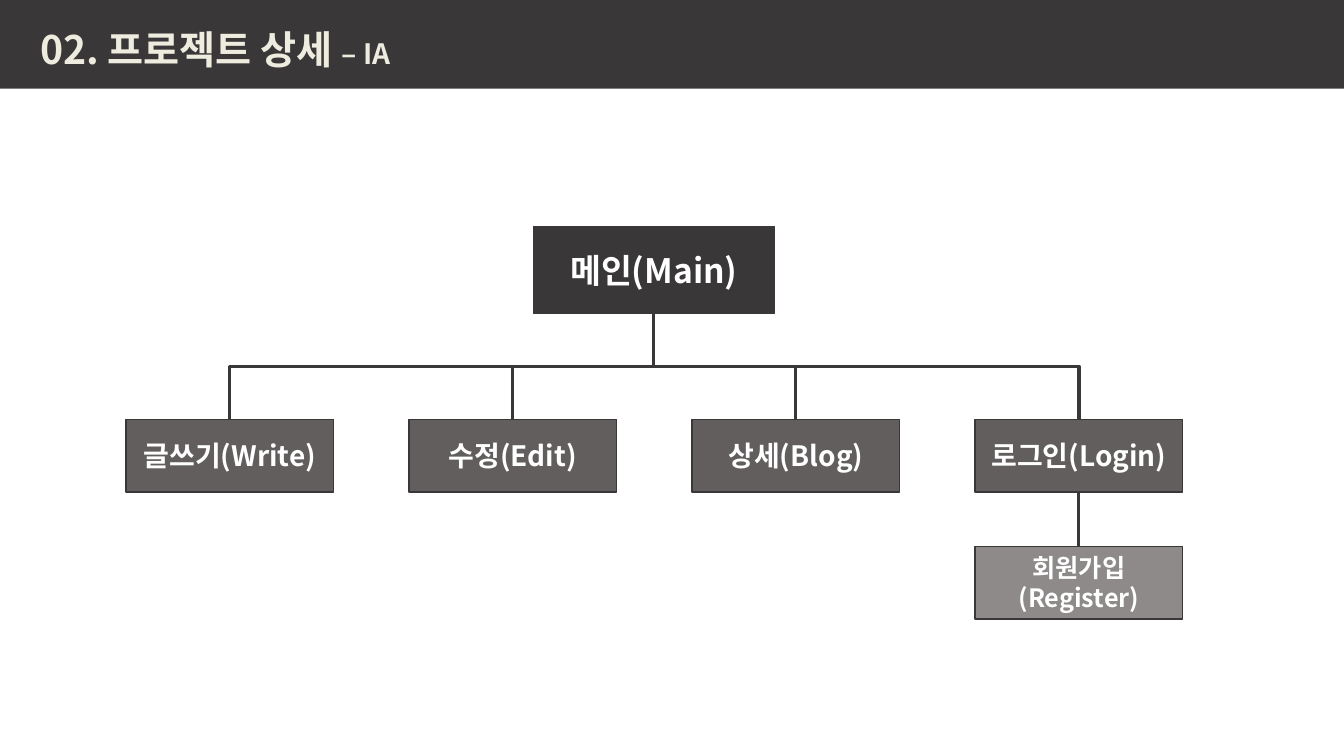
import pptx
import pptx.util
import pptx.dml.color
import pptx.enum.shapes
import pptx.enum.text
from pptx.util import Inches
from lxml import etree

# Content
TITLE = [("02. 프로젝트 상세 ", 28), ("– IA", 20)]
MAIN = "메인(Main)"
PAGES = ["글쓰기(Write)", "수정(Edit)", "상세(Blog)", "로그인(Login)"]
REGISTER = ["회원가입", "(Register)"]

# Style and layout in inches
FONT = "Noto Sans CJK KR"
DARK, MID, LIGHT, WHITE, CREAM = "393737", "625E5E", "8E8A8A", "FFFFFF", "EDECDF"
HEADER_H = 0.88
MAIN_X, MAIN_Y, MAIN_W, MAIN_H = 5.29, 2.25, 2.39, 0.86
PAGE_X, PAGE_Y, PAGE_W, PAGE_H, PAGE_STEP = 1.25, 4.16, 2.06, 0.72, 2.807
REGISTER_Y = 5.42
BUS_Y = (MAIN_Y + MAIN_H + PAGE_Y) / 2

RECT = pptx.enum.shapes.MSO_SHAPE.RECTANGLE
CXN = pptx.enum.shapes.MSO_CONNECTOR


def color(value):
    return pptx.dml.color.RGBColor.from_string(value)


def add_run(p, text, size=20, fill=WHITE):
    r = p.add_run()
    r.text = text
    f = r.font
    f.size, f.bold, f.name = pptx.util.Pt(size), True, FONT
    f.color.rgb = color(fill)
    rpr = r.font._element
    etree.SubElement(rpr, pptx.oxml.ns.qn("a:ea"), typeface=FONT)


def add_box(x, y, w, h, fill, lines=(), size=20, line=DARK):
    sp = s.shapes.add_shape(RECT, Inches(x), Inches(y), Inches(w), Inches(h))
    sp.shadow.inherit = False
    sp.fill.solid()
    sp.fill.fore_color.rgb = color(fill)
    if line:
        sp.line.color.rgb = color(line)
        sp.line.width = pptx.util.Pt(1)
    else:
        sp.line.fill.background()
    tf = sp.text_frame
    tf.vertical_anchor = pptx.enum.text.MSO_ANCHOR.MIDDLE
    for i, text in enumerate(lines):
        p = tf.add_paragraph() if i else tf.paragraphs[0]
        p.alignment = pptx.enum.text.PP_ALIGN.CENTER
        add_run(p, text, size)
    return sp


def add_line(kind, x1, y1, x2, y2, begin=None, end=None):
    c = s.shapes.add_connector(kind, Inches(x1), Inches(y1), Inches(x2), Inches(y2))
    c.line.color.rgb = color(DARK)
    c.line.width = pptx.util.Pt(2.25)
    etree.SubElement(c.element.spPr, pptx.oxml.ns.qn("a:effectLst"))
    if begin is not None:
        c.begin_connect(begin, 2)
    if end is not None:
        c.end_connect(end, 0)
    return c


def add_elbow(x1, y1, x2, y2, begin, end):
    """Elbow that leaves downwards: its frame is turned a quarter."""
    c = add_line(CXN.ELBOW, x1, y1, x2, y2, begin, end)
    w, h = y2 - y1, abs(x2 - x1)
    c.left, c.top = Inches((x1 + x2 - w) / 2), Inches((y1 + y2 - h) / 2)
    c.width, c.height = Inches(w), Inches(h)
    c.rotation = 90 if x2 < x1 else 270
    c.element.spPr.xfrm.flipH = x2 > x1


prs = pptx.Presentation()
prs.slide_width, prs.slide_height = Inches(13.33), Inches(7.5)
s = prs.slides.add_slide(prs.slide_layouts[6])

# Dark header from the background, white body
s.background.fill.solid()
s.background.fill.fore_color.rgb = color(DARK)
add_box(0, HEADER_H, 13.33, 7.5 - HEADER_H, WHITE, line=None)

# Title
tb = s.shapes.add_textbox(Inches(0.3), Inches(0.2), Inches(6.67), Inches(0.57))
tb.text_frame.word_wrap = True
for text, size in TITLE:
    add_run(tb.text_frame.paragraphs[0], text, size, CREAM)

# Boxes
main_box = add_box(MAIN_X, MAIN_Y, MAIN_W, MAIN_H, DARK, [MAIN], 24)
page_xs = [PAGE_X + i * PAGE_STEP for i in range(len(PAGES))]
pages = [add_box(x, PAGE_Y, PAGE_W, PAGE_H, MID, [text])
         for x, text in zip(page_xs, PAGES)]
register = add_box(page_xs[-1], REGISTER_Y, PAGE_W, PAGE_H, LIGHT, REGISTER, 18)

# Connectors: elbows to the outer pages, drops from the bus to the inner ones
main_mid = MAIN_X + MAIN_W / 2
mids = [x + PAGE_W / 2 for x in page_xs]
for i, (mid, page) in enumerate(zip(mids, pages)):
    if i in (0, len(pages) - 1):
        add_elbow(main_mid, MAIN_Y + MAIN_H, mid, PAGE_Y, main_box, page)
    else:
        add_line(CXN.STRAIGHT, mid, BUS_Y, mid, PAGE_Y, end=page)
add_line(CXN.STRAIGHT, mids[-1], PAGE_Y + PAGE_H, mids[-1], REGISTER_Y,
         pages[-1], register)

prs.save("out.pptx")
